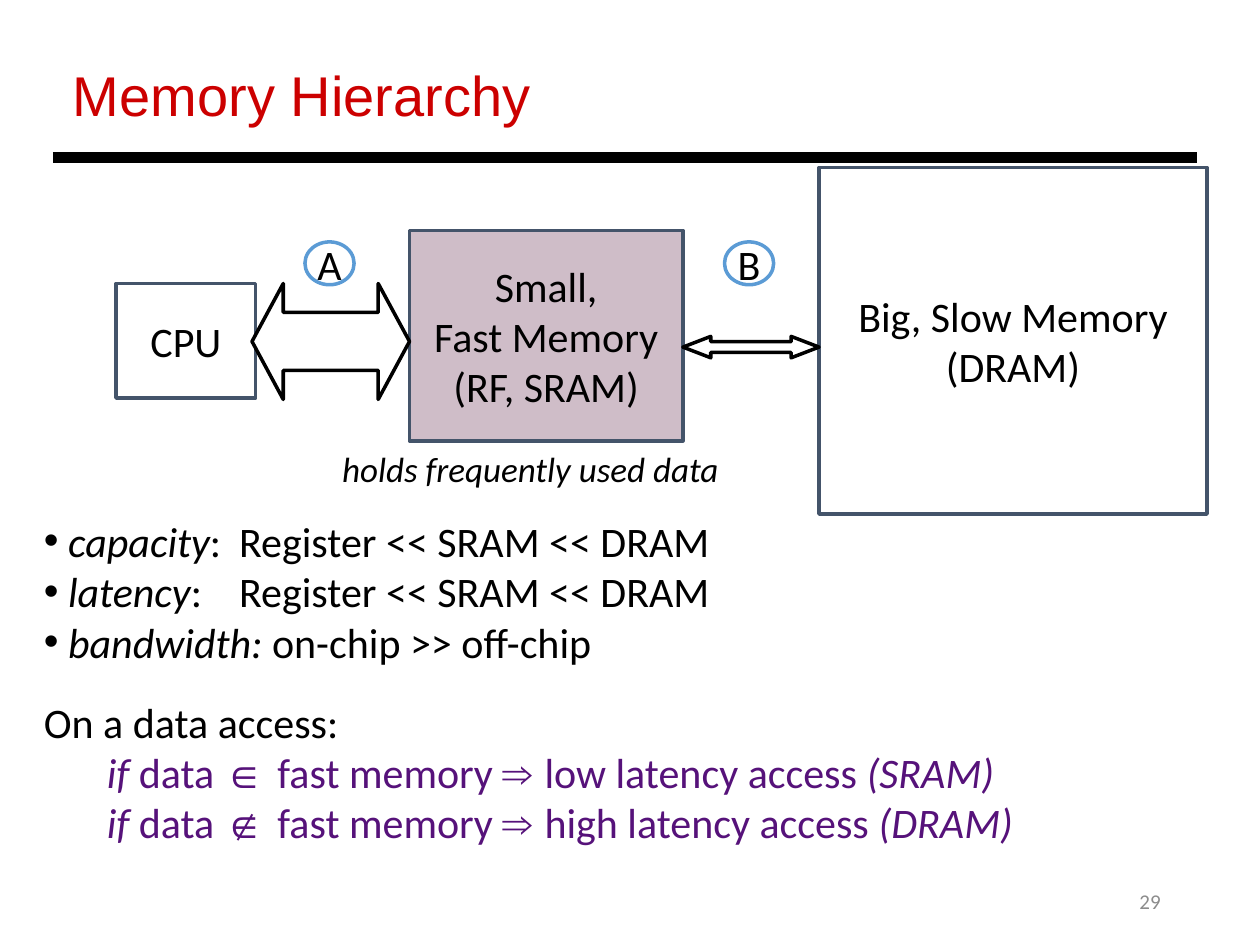
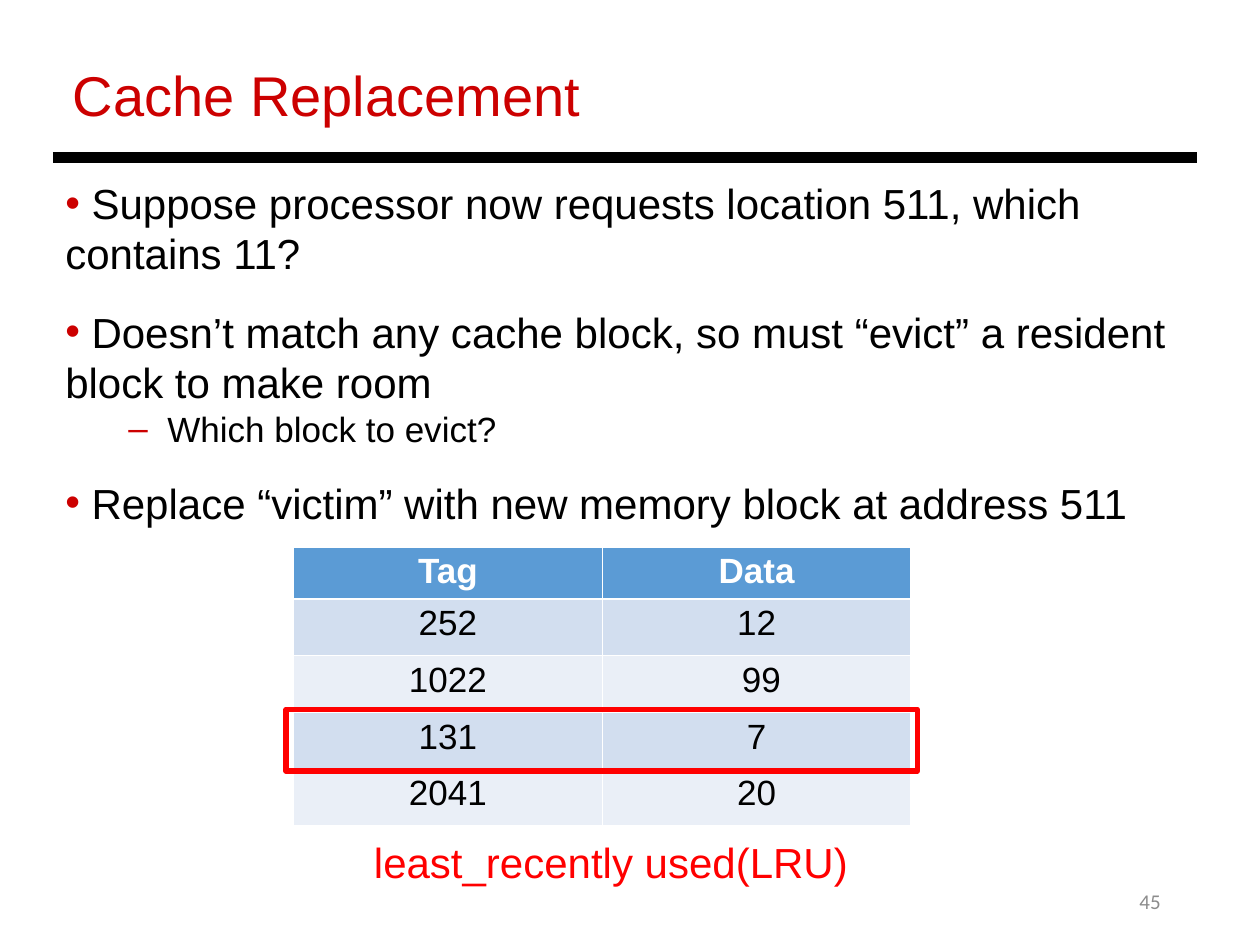
import pptx
import pptx.util
import pptx.dml.color
import pptx.enum.shapes
import pptx.enum.text
import lxml.etree

Inches = pptx.util.Inches
Pt = pptx.util.Pt
RGBColor = pptx.dml.color.RGBColor
MSO_SHAPE = pptx.enum.shapes.MSO_SHAPE
PP_ALIGN = pptx.enum.text.PP_ALIGN
MSO_ANCHOR = pptx.enum.text.MSO_ANCHOR

BLACK = RGBColor(0x00, 0x00, 0x00)
WHITE = RGBColor(0xFF, 0xFF, 0xFF)
TITLE_RED = RGBColor(0xCC, 0x00, 0x00)
ALERT_RED = RGBColor(0xFF, 0x00, 0x00)
NUMBER_GRAY = RGBColor(0x8C, 0x8C, 0x8C)
SLATE = RGBColor(0x44, 0x54, 0x6A)
BLUE = RGBColor(0x5B, 0x9B, 0xD5)
MAUVE = RGBColor(0xCF, 0xBD, 0xC8)
PURPLE = RGBColor(0x56, 0x12, 0x7A)
ROW_DARK = RGBColor(0xD2, 0xDE, 0xEF)
ROW_LIGHT = RGBColor(0xEA, 0xEF, 0xF7)


def write(frame, paragraphs, size=24, font="Calibri", color=BLACK,
          align=PP_ALIGN.LEFT, anchor=MSO_ANCHOR.TOP, wrap=True):
    frame.word_wrap = wrap
    frame.vertical_anchor = anchor
    for index, runs in enumerate(paragraphs):
        paragraph = frame.paragraphs[0] if index == 0 else frame.add_paragraph()
        paragraph.alignment = align
        for text, *style in runs:
            run = paragraph.add_run()
            run.text = text
            run.font.size = Pt(size)
            run.font.name = "Arial" if "symbol" in style else font
            run.font.color.rgb = color
            run.font.italic = "italic" in style
            run.font.bold = "bold" in style


def format_paragraph(paragraph, margin=0, indent=0, bullet=None, color=BLACK, tab=None):
    properties = paragraph._p.get_or_add_pPr()
    properties.set("marL", str(Inches(margin)))
    properties.set("indent", str(Inches(indent)))
    namespace = "{%s}" % properties.nsmap["a"]
    if bullet:
        bullet_color = lxml.etree.SubElement(properties, namespace + "buClr")
        lxml.etree.SubElement(bullet_color, namespace + "srgbClr", val=str(color))
        lxml.etree.SubElement(properties, namespace + "buFont", typeface="Arial")
        lxml.etree.SubElement(properties, namespace + "buChar", char=bullet)
    if tab:
        tabs = lxml.etree.SubElement(properties, namespace + "tabLst")
        lxml.etree.SubElement(tabs, namespace + "tab", pos=str(Inches(tab)), algn="l")


presentation = pptx.Presentation()
presentation.slide_width = Inches(10)
presentation.slide_height = Inches(7.5)

slides = []
for title, number in (("Memory Hierarchy", "29"), ("Cache Replacement", "45")):
    slide = presentation.slides.add_slide(presentation.slide_layouts[6])
    slides.append(slide)
    number_box = slide.shapes.add_textbox(Inches(7.06), Inches(6.95), Inches(2.25), Inches(0.4))
    write(number_box.text_frame, [[(number,)]], size=12, color=NUMBER_GRAY,
          align=PP_ALIGN.RIGHT, anchor=MSO_ANCHOR.MIDDLE)
    title_box = slide.shapes.add_textbox(Inches(0.48), Inches(0.43), Inches(7.7), Inches(0.64))
    write(title_box.text_frame, [[(title,)]], size=32, font="Arial", color=TITLE_RED)
    rule = slide.shapes.add_connector(pptx.enum.shapes.MSO_CONNECTOR.STRAIGHT,
                                      Inches(0.42), Inches(1.25), Inches(9.5), Inches(1.25))
    rule.line.color.rgb = BLACK
    rule.line.width = Pt(6)
    lxml.etree.SubElement(rule._element.spPr, "{%s}effectLst" % rule._element.nsmap["a"])

hierarchy_slide, replacement_slide = slides

access_box = hierarchy_slide.shapes.add_textbox(Inches(0.25), Inches(4.04), Inches(9.58), Inches(2.76))
write(access_box.text_frame, [
    [(" capacity", "italic"), (":\tRegister << SRAM << DRAM",)],
    [(" latency", "italic"), (":\tRegister << SRAM << DRAM",)],
    [(" bandwidth: ", "italic"), ("on-chip >> off-chip",)],
    [("On a data access:",)],
])
for paragraph in access_box.text_frame.paragraphs[:3]:
    format_paragraph(paragraph, bullet="•", tab=1.55)
access_box.text_frame.paragraphs[3].space_before = Pt(17)

for relation, latency, memory in (("∈ ", "low", "(SRAM)"), ("∉ ", "high", "(DRAM)")):
    paragraph = access_box.text_frame.add_paragraph()
    format_paragraph(paragraph, margin=0.5)
    for text, font, italic in (("if ", "Calibri", True), ("data ", "Calibri", False),
                               (relation, "Arial", False), ("fast memory ", "Calibri", False),
                               ("⇒ ", "Arial", False),
                               (latency + " latency access ", "Calibri", False),
                               (memory, "Calibri", True)):
        run = paragraph.add_run()
        run.text = text
        run.font.size = Pt(24)
        run.font.name = font
        run.font.italic = italic
        run.font.color.rgb = PURPLE

caption = hierarchy_slide.shapes.add_textbox(Inches(1.92), Inches(3.5), Inches(4.58), Inches(0.43))
write(caption.text_frame, [[("holds frequently used data", "italic")]], size=20, align=PP_ALIGN.CENTER)

diagram = (
    (MSO_SHAPE.RECTANGLE, 3.25, 1.83, 2.17, 1.67, MAUVE, SLATE, ("Small,", "Fast Memory", "(RF, SRAM)"), ()),
    (MSO_SHAPE.RECTANGLE, 0.92, 2.25, 1.11, 0.91, WHITE, SLATE, ("CPU",), ()),
    (MSO_SHAPE.RECTANGLE, 6.5, 1.33, 3.08, 2.75, WHITE, SLATE, ("Big, Slow Memory", "(DRAM)"), ()),
    (MSO_SHAPE.OVAL, 2.42, 1.92, 0.39, 0.34, WHITE, BLUE, ("A",), ()),
    (MSO_SHAPE.OVAL, 5.75, 1.92, 0.39, 0.34, WHITE, BLUE, ("B",), ()),
    (MSO_SHAPE.LEFT_RIGHT_ARROW, 5.42, 2.67, 1.08, 0.17, WHITE, BLACK, (), (0.5, 1.3)),
    (MSO_SHAPE.LEFT_RIGHT_ARROW, 2, 2.25, 1.25, 0.92, WHITE, BLACK, (), (0.5, 0.27)),
)
for kind, left, top, width, height, fill, outline, lines, adjustments in diagram:
    shape = hierarchy_slide.shapes.add_shape(kind, Inches(left), Inches(top), Inches(width), Inches(height))
    shape.shadow.inherit = False
    shape.fill.solid()
    shape.fill.fore_color.rgb = fill
    shape.line.color.rgb = outline
    shape.line.width = Pt(2)
    for index, value in enumerate(adjustments):
        shape.adjustments[index] = value
    if lines:
        write(shape.text_frame, [[(line,)] for line in lines], align=PP_ALIGN.CENTER,
              anchor=MSO_ANCHOR.MIDDLE, wrap=len(lines) > 1)

steps_box = replacement_slide.shapes.add_textbox(Inches(0.42), Inches(1.36), Inches(9.04), Inches(3))
write(steps_box.text_frame, [
    [(" Suppose processor now requests location 511, which contains 11?",)],
    [(" Doesn’t match any cache block, so must “evict” a resident block to make room",)],
    [("Which block to evict?",)],
    [(" Replace “victim” with new memory block at address 511",)],
], font="Arial")
for index, paragraph in enumerate(steps_box.text_frame.paragraphs):
    if index == 2:
        format_paragraph(paragraph, margin=0.81, indent=-0.31, bullet="–", color=TITLE_RED)
        paragraph.runs[0].font.size = Pt(20)
    else:
        format_paragraph(paragraph, bullet="•", color=TITLE_RED)
        if index > 0:
            paragraph.space_before = Pt(16)

cache_rows = (("Tag", "Data"), ("252", "12"), ("1022", " 99"), ("131", "7"), ("2041", "20"))
cache_table = replacement_slide.shapes.add_table(
    len(cache_rows), 2, Inches(2.33), Inches(4.34), Inches(4.9), Inches(2.2)).table
for row_index, values in enumerate(cache_rows):
    header = row_index == 0
    cache_table.rows[row_index].height = Inches(0.32 if header else 0.45)
    for column_index, value in enumerate(values):
        cell = cache_table.cell(row_index, column_index)
        cell.margin_left = cell.margin_right = Inches(0.07)
        cell.margin_top = cell.margin_bottom = Inches(0.04)
        cell.fill.solid()
        cell.fill.fore_color.rgb = BLUE if header else ROW_DARK if row_index % 2 else ROW_LIGHT
        write(cell.text_frame, [[(value, "bold" if header else "regular")]], size=20, font="Arial",
              color=WHITE if header else BLACK, align=PP_ALIGN.CENTER)

victim_frame = replacement_slide.shapes.add_shape(
    MSO_SHAPE.RECTANGLE, Inches(2.27), Inches(5.63), Inches(5.01), Inches(0.49))
victim_frame.shadow.inherit = False
victim_frame.fill.background()
victim_frame.line.color.rgb = ALERT_RED
victim_frame.line.width = Pt(3)

policy_box = replacement_slide.shapes.add_textbox(Inches(2.87), Inches(6.59), Inches(4), Inches(0.5))
write(policy_box.text_frame, [[("least_recently used(LRU)",)]], font="Arial", color=ALERT_RED, wrap=False)

presentation.save("out.pptx")
